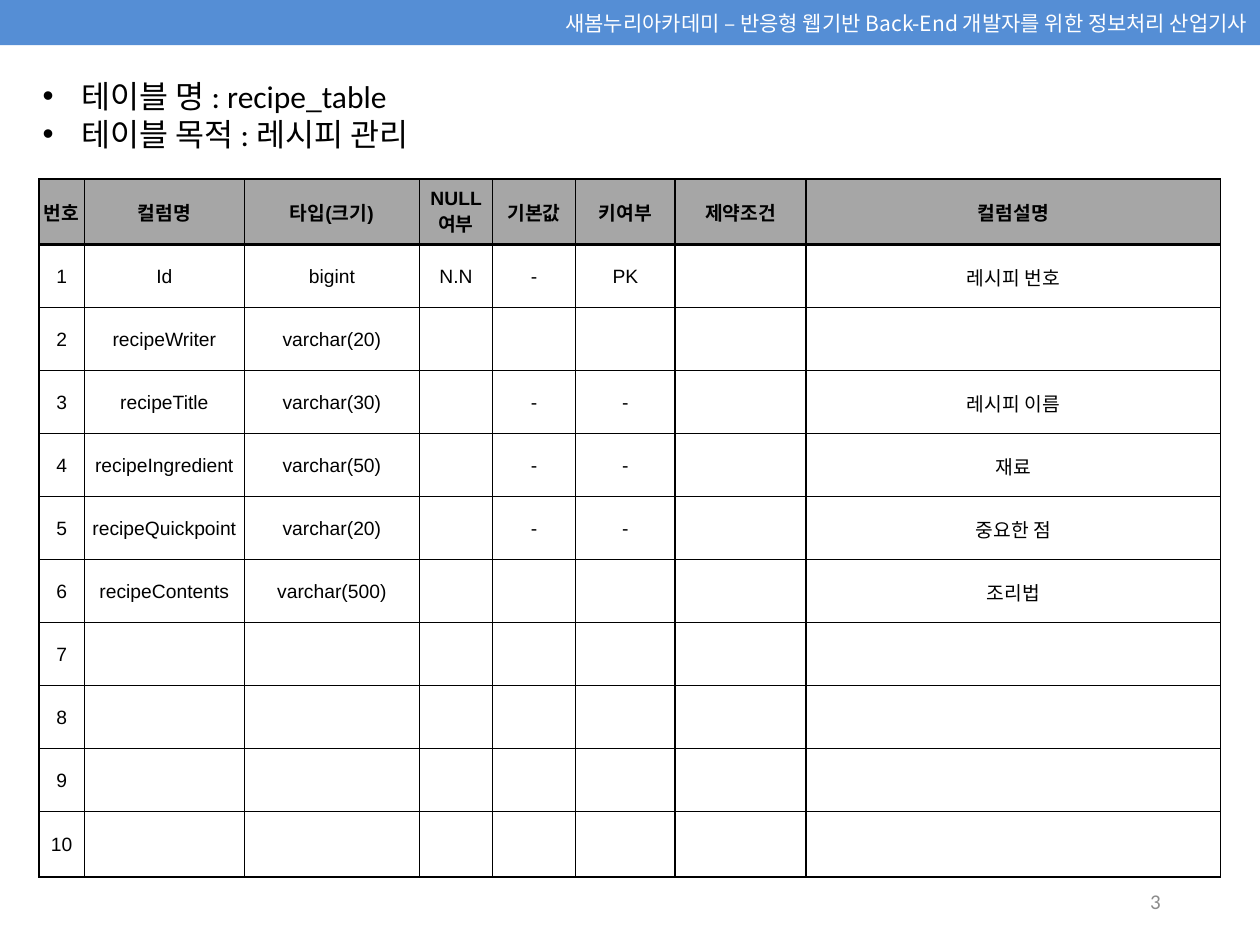
from dataclasses import dataclass

from pptx import Presentation
from pptx.dml.color import RGBColor
from pptx.enum.shapes import MSO_SHAPE
from pptx.enum.text import MSO_ANCHOR as Anchor, PP_ALIGN as Align
from pptx.oxml.ns import qn
from pptx.util import Inches, Pt
from lxml.etree import SubElement

BLACK, GREY, BLUE = "000000", "A6A6A6", "558ED5"
EAST_FONT = "Noto Sans CJK KR"


@dataclass(frozen=True)
class Style:
    size: float
    font: str
    color: str = BLACK
    bold: bool = False


BANNER = Style(12, EAST_FONT, "FFFFFF")
NUMBER = Style(12, "Calibri", "8C8C8C")
BULLET = Style(18, "Calibri")
HEAD = Style(11, "Arial", bold=True)
BODY = Style(11, "Arial")


@dataclass(frozen=True)
class Column:
    title: str
    width: float
    values: tuple[str, ...] = ()


COLUMNS = (
    Column("번호", 0.36, tuple(str(number) for number in range(1, 11))),
    Column("컬럼명", 1.27, ("Id", "recipeWriter", "recipeTitle", "recipeIngredient",
                         "recipeQuickpoint", "recipeContents")),
    Column("타입(크기)", 1.39, ("bigint", "varchar(20)", "varchar(30)", "varchar(50)",
                            "varchar(20)", "varchar(500)")),
    Column("NULL 여부", 0.58, ("N.N",)),
    Column("기본값", 0.66, ("-", "", "-", "-", "-")),
    Column("키여부", 0.79, ("PK", "", "-", "-", "-")),
    Column("제약조건", 1.04),
    Column("컬럼설명", 3.29, ("레시피 번호", "", "레시피 이름", "재료", "중요한 점", "조리법")),
)
ROW_HEIGHTS = (0.52, *[0.5] * 9, 0.52)


def rgb(color: str) -> RGBColor:
    return RGBColor.from_string(color)


def add_text(para, text: str, style: Style, align: Align = Align.LEFT) -> None:
    para.alignment = align
    span = para.add_run()
    span.text = text
    font = span.font
    font.size, font.name, font.bold = Pt(style.size), style.font, style.bold
    font.color.rgb = rgb(style.color)
    SubElement(span._r.get_or_add_rPr(), qn("a:ea"), typeface=EAST_FONT)


def add_bullet(para) -> None:
    props = para._p.get_or_add_pPr()
    props.set("marL", str(Inches(0.31)))
    props.set("indent", str(-Inches(0.31)))
    SubElement(props, qn("a:buFont"), typeface="Arial")
    SubElement(props, qn("a:buChar"), char="•")


def add_box(page, left: float, top: float, width: float, height: float):
    box = page.shapes.add_textbox(Inches(left), Inches(top), Inches(width), Inches(height))
    box.text_frame.word_wrap = True
    return box.text_frame


def set_borders(cell, top: float, bottom: float) -> None:
    props = cell._tc.get_or_add_tcPr()
    for side, width in (("L", 1), ("R", 1), ("T", top), ("B", bottom)):
        line = SubElement(props, qn(f"a:ln{side}"), w=str(Pt(width)))
        fill = SubElement(line, qn("a:solidFill"))
        SubElement(fill, qn("a:srgbClr"), val=BLACK)


def fill_cell(cell, text: str, row: int) -> None:
    set_borders(cell, top=2 if row == 1 else 1, bottom=2 if row == 0 else 1)
    if row == 0:
        cell.fill.solid()
        cell.fill.fore_color.rgb = rgb(GREY)
    else:
        cell.fill.background()
    cell.vertical_anchor = Anchor.MIDDLE
    cell.margin_left = cell.margin_right = cell.margin_top = Inches(0.01)
    cell.margin_bottom = 0
    if text:
        add_text(cell.text_frame.paragraphs[0], text, BODY if row else HEAD, Align.CENTER)


def add_column_table(page) -> None:
    frame = page.shapes.add_table(len(ROW_HEIGHTS), len(COLUMNS), Inches(0.31), Inches(1.42),
                                  Inches(9.38), Inches(5.52))
    table = frame.table
    table.first_row = table.horz_banding = False
    for row, height in enumerate(ROW_HEIGHTS):
        table.rows[row].height = Inches(height)
    for index, column in enumerate(COLUMNS):
        table.columns[index].width = Inches(column.width)
        texts = (column.title, *column.values)
        for row in range(len(ROW_HEIGHTS)):
            fill_cell(table.cell(row, index), texts[row] if row < len(texts) else "", row)


deck = Presentation()
deck.slide_width, deck.slide_height = Inches(10), Inches(7.5)
page = deck.slides.add_slide(deck.slide_layouts[6])

# Course banner
banner = page.shapes.add_shape(MSO_SHAPE.RECTANGLE, 0, 0, Inches(10), Inches(0.36))
banner.shadow.inherit = False
banner.fill.solid()
banner.fill.fore_color.rgb = rgb(BLUE)
banner.line.fill.background()
banner.text_frame.vertical_anchor = Anchor.MIDDLE
add_text(banner.text_frame.paragraphs[0],
         "새봄누리아카데미 – 반응형 웹기반 Back-End 개발자를 위한 정보처리 산업기사",
         BANNER, Align.RIGHT)

# Page number
number_frame = add_box(page, 7.06, 6.95, 2.25, 0.4)
number_frame.vertical_anchor = Anchor.MIDDLE
add_text(number_frame.paragraphs[0], "3", NUMBER, Align.RIGHT)

# Table name and purpose
summary = add_box(page, 0.24, 0.56, 9.49, 0.69)
for para, text in zip((summary.paragraphs[0], summary.add_paragraph()),
                      ("테이블 명 : recipe_table", "테이블 목적 : 레시피 관리")):
    add_text(para, text, BULLET)
    add_bullet(para)

# Column definitions
add_column_table(page)

deck.save("out.pptx")
